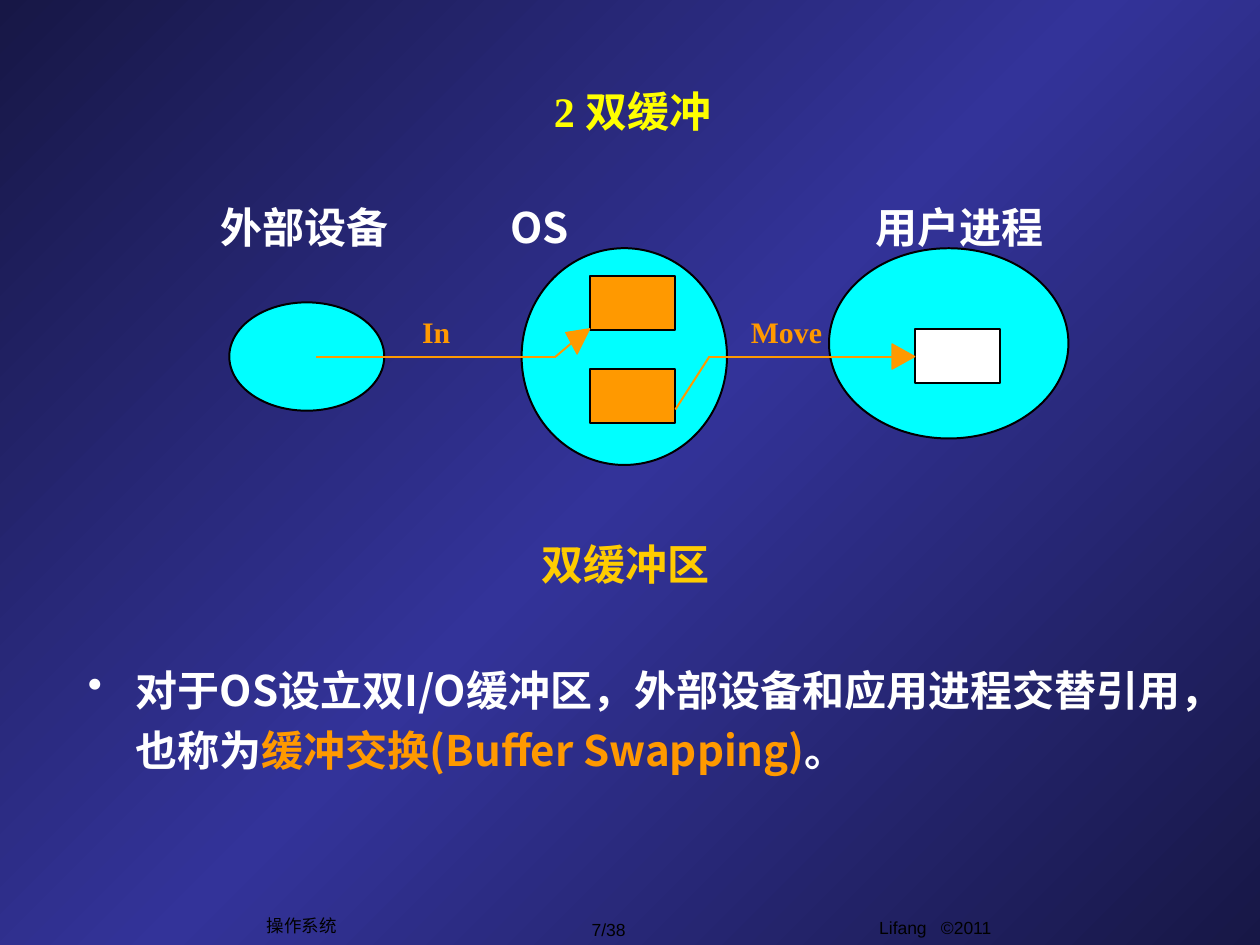
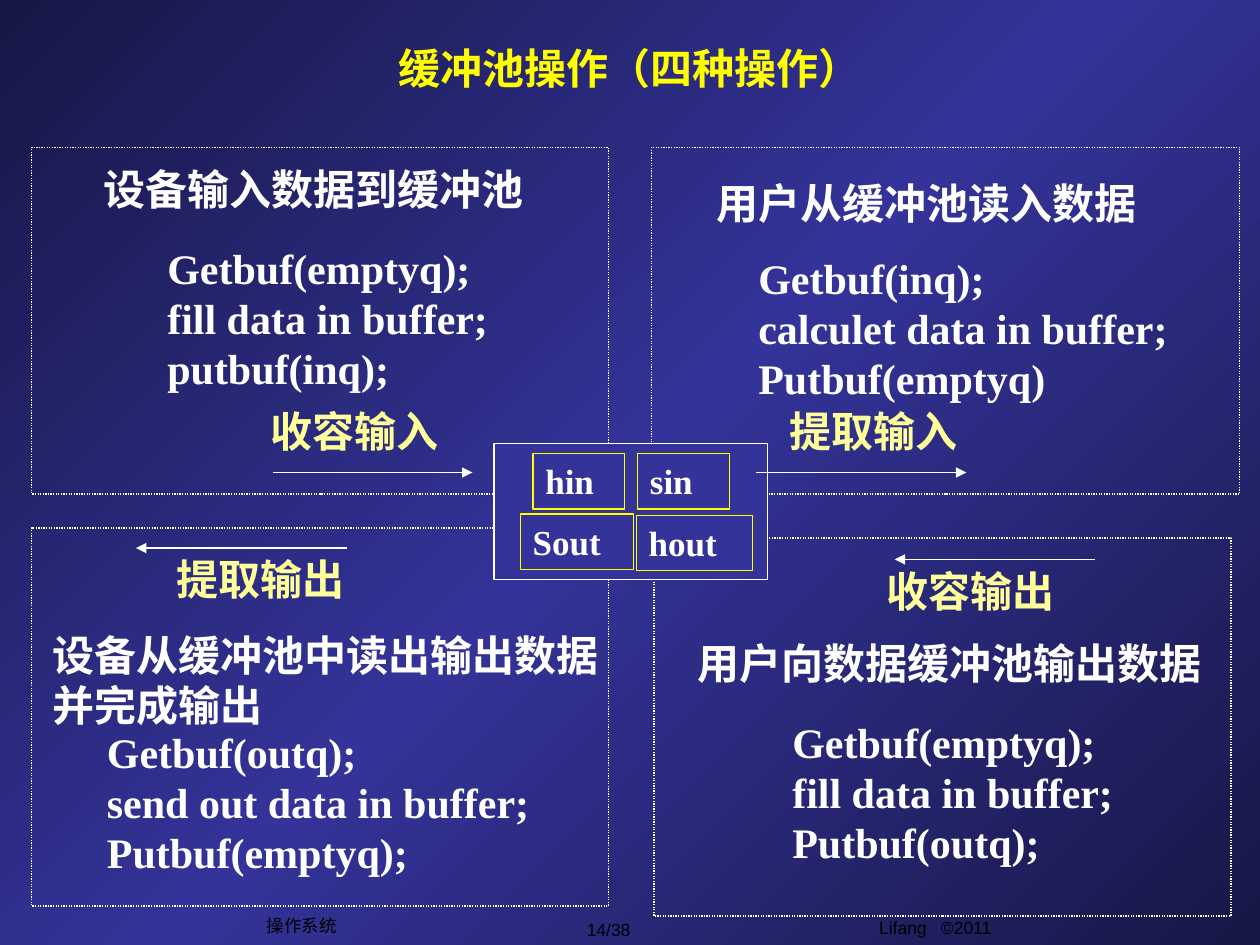
from lxml.etree import SubElement
from pptx import Presentation
from pptx.dml.color import RGBColor
from pptx.enum.dml import MSO_LINE
from pptx.enum.shapes import MSO_CONNECTOR, MSO_SHAPE
from pptx.enum.text import MSO_ANCHOR as ANCHOR, MSO_AUTO_SIZE as AUTO, PP_ALIGN as ALIGN
from pptx.oxml.ns import qn
from pptx.util import Inches, Pt

NAVY, INDIGO = RGBColor(0x17, 0x17, 0x46), RGBColor(0x33, 0x33, 0x99)
WHITE, BLACK = RGBColor(0xFF, 0xFF, 0xFF), RGBColor(0, 0, 0)
YELLOW, PALE = RGBColor(0xFF, 0xFF, 0), RGBColor(0xFF, 0xFF, 0x99)
GOLD, ORANGE = RGBColor(0xFF, 0xCC, 0), RGBColor(0xFF, 0x99, 0)
CYAN = RGBColor(0, 0xFF, 0xFF)
SERIF, SANS, CJK = "Times New Roman", "Arial", "Noto Sans CJK SC"
INSETS = (0.1, 0.05)

# Double buffering: text, left, top, width, format
DIAGRAM_LABELS = [
    ("外部设备", 1.75, 1.6, 1.33, dict(font=CJK)),
    ("OS", 4.05, 1.6, 0.5, dict(font=CJK)),
    ("用户进程", 6.95, 1.6, 1.33, dict(font=CJK)),
    ("In", 3.35, 2.49, 0.22, dict(size=17, color=ORANGE)),
    ("Move", 5.96, 2.49, 0.57, dict(size=17, color=ORANGE)),
    ("双缓冲区", 4.3, 4.28, 1.33, dict(font=CJK, color=GOLD)),
]
ELLIPSES = [(4.14, 1.97, 1.63, 1.72), (1.82, 2.4, 1.23, 0.86), (6.58, 1.97, 1.9, 1.51)]
BUFFER_SIZE = (0.68, 0.43)
BUFFERS = [(4.68, 2.19, ORANGE), (4.68, 2.93, ORANGE), (7.26, 2.61, WHITE)]
FLOWS = [[(2.51, 2.83), (4.41, 2.83), (4.54, 2.72)],
         [(5.36, 3.25), (5.63, 2.83), (7.09, 2.83)]]
ARROWHEADS = [[(4.58, 2.81), (4.68, 2.61), (4.49, 2.64)],
              [(7.08, 2.93), (7.26, 2.83), (7.08, 2.73)]]
SWAPPING = [("对于OS设立双I/O缓冲区，外部设备和应用进程交替引用，也称为", WHITE),
            ("缓冲交换(Buffer Swapping)", ORANGE), ("。", WHITE)]

# Buffer pool: each panel has a frame, a heading, code, a label and an arrow
PANELS = [
    dict(frame=(5.19, 4.27, 4.58, 3),
         heading=("用户向数据缓冲池输出数据", 5.44, 5.01, 4.2),
         code=("Getbuf(emptyq);\nfill data in buffer;\nPutbuf(outq);", 6.19, 5.64, 2.74),
         label=("收容输出", 6.94, 4.44, 1.53), arrow=(8.69, 7.1, 4.44)),
    dict(frame=(0.25, 4.19, 4.58, 3),
         heading=("设备从缓冲池中读出输出数据\n并完成输出", 0.32, 4.95, 4.53),
         code=("Getbuf(outq);\nsend out data in buffer;\nPutbuf(emptyq);", 0.75, 5.72, 3.55),
         label=("提取输出", 1.3, 4.35, 1.53), arrow=(2.75, 1.08, 4.35)),
    dict(frame=(0.25, 1.17, 4.58, 2.75),
         heading=("设备输入数据到缓冲池", 0.72, 1.25, 3.53),
         code=("Getbuf(emptyq);\nfill data in buffer;\nputbuf(inq);", 1.23, 1.88, 2.74),
         label=("收容输入", 2.05, 3.17, 1.53), arrow=(2.17, 3.75, 3.75)),
    dict(frame=(5.17, 1.17, 4.67, 2.75),
         heading=("用户从缓冲池读入数据", 5.59, 1.36, 3.53),
         code=("Getbuf(inq);\ncalculet data in buffer;\nPutbuf(emptyq)", 5.92, 1.96, 3.45),
         label=("提取输入", 6.17, 3.17, 1.53), arrow=(6, 7.67, 3.75)),
]
POOL = (3.92, 3.52, 2.17, 1.08)
POOL_BUFFERS = [("hin", 4.23, 3.6, 0.73), ("sin", 5.06, 3.6, 0.73),
                ("Sout", 4.13, 4.08, 0.9), ("hout", 5.05, 4.09, 0.92)]


def add_run(p, text, size=24, color=WHITE, font=SERIF, bold=True):
    r = p.add_run()
    r.text = text
    for name, value in dict(size=Pt(size), bold=bold, name=font).items():
        setattr(r.font, name, value)
    r.font.color.rgb = color
    SubElement(r._r.get_or_add_rPr(), qn("a:ea"), typeface=CJK)


def set_frame(tf, insets=INSETS, wrap=False, anchor=ANCHOR.TOP):
    side, end = map(Inches, insets)
    values = dict(margin_left=side, margin_right=side, margin_top=end, margin_bottom=end,
                  auto_size=AUTO.NONE, word_wrap=wrap, vertical_anchor=anchor)
    for name, value in values.items():
        setattr(tf, name, value)


def add_text(s, text, x, y, w, h=0.4, align=ALIGN.LEFT, spacing=None, frame=None, **style):
    tf = s.shapes.add_textbox(*map(Inches, (x, y, w, h))).text_frame
    set_frame(tf, **(frame or {}))
    for i, line in enumerate(text.split("\n")):
        p = tf.add_paragraph() if i else tf.paragraphs[0]
        p.alignment = align
        p.line_spacing = spacing
        add_run(p, line, **style)
    return tf


def style_shape(sp, fill=None, line=BLACK, width=1.13):
    sp.shadow.inherit = False
    if fill is None:
        sp.fill.background()
    else:
        sp.fill.solid()
        sp.fill.fore_color.rgb = fill
    sp.line.color.rgb = line
    sp.line.width = Pt(width)


def add_box(s, kind, box, **style):
    sp = s.shapes.add_shape(kind, *map(Inches, box))
    style_shape(sp, **style)
    return sp


def add_line(s, start, end, color, width, arrow=False):
    c = s.shapes.add_connector(MSO_CONNECTOR.STRAIGHT, *map(Inches, (*start, *end)))
    c.line.color.rgb = color
    c.line.width = Pt(width)
    if arrow:
        SubElement(c.line._get_or_add_ln(), qn("a:tailEnd"), type="triangle")
    SubElement(c._element.spPr, qn("a:effectLst"))


def add_slide(prs, title, title_box, page):
    """Add a slide with the shared background, title and footers."""
    s = prs.slides.add_slide(prs.slide_layouts[6])
    fill = s.background.fill
    fill.gradient()
    fill.gradient_angle = 315
    stops = next(s._element.iter(qn("a:gsLst")))
    for stop in list(stops):
        stops.remove(stop)
    for pos, color in ((0, NAVY), (50000, INDIGO), (100000, NAVY)):
        stop = SubElement(stops, qn("a:gs"), pos=str(pos))
        SubElement(stop, qn("a:srgbClr"), val=str(color))

    small = dict(size=10, color=BLACK, font=SANS, bold=False)
    middle = dict(anchor=ANCHOR.MIDDLE)
    tf = add_text(s, "Lifang\t©2011", 6.88, 7.23, 1.3, 0.27, **small)
    tabs = SubElement(tf.paragraphs[0]._p.get_or_add_pPr(), qn("a:tabLst"))
    SubElement(tabs, qn("a:tab"), pos=str(Inches(0.49)), algn="l")
    for text, x, y, w in ((page, 4.32, 7.24, 1.02), ("操作系统", 2.02, 7.21, 0.75)):
        add_text(s, text, x, y, w, 0.27, ALIGN.CENTER, frame=middle, **small)
    add_text(s, title, *title_box, ALIGN.CENTER, frame=dict(wrap=True, **middle), color=YELLOW)
    return s


def add_double_buffer(prs):
    s = add_slide(prs, "2 双缓冲", (0.77, 0.4, 8.5, 0.96), "7/38")
    for text, x, y, w, style in DIAGRAM_LABELS:
        add_text(s, text, x, y, w, spacing=Pt(style.get("size", 24) * 1.19),
                 frame=dict(insets=(0, 0)), **style)
    for box in ELLIPSES:
        add_box(s, MSO_SHAPE.OVAL, box, fill=CYAN)
    for x, y, fill in BUFFERS:
        add_box(s, MSO_SHAPE.RECTANGLE, (x, y, *BUFFER_SIZE), fill=fill)
    for points in FLOWS:
        for start, end in zip(points, points[1:]):
            add_line(s, start, end, ORANGE, 1.13)
    for first, *rest in ARROWHEADS:
        outline = s.shapes.build_freeform(*map(Inches, first))
        outline.add_line_segments([tuple(map(Inches, pt)) for pt in rest], close=True)
        style_shape(outline.convert_to_shape(), ORANGE, ORANGE, 0.75)

    tf = s.shapes.add_textbox(*map(Inches, (0.6, 5.15, 8.87, 1.18))).text_frame
    set_frame(tf, wrap=True)
    p = tf.paragraphs[0]
    p.line_spacing = Pt(34.3)
    pPr = p._p.get_or_add_pPr()
    pPr.set("marL", str(Inches(0.38)))
    pPr.set("indent", str(-Inches(0.38)))
    SubElement(SubElement(pPr, qn("a:buClr")), qn("a:srgbClr"), val=str(WHITE))
    SubElement(pPr, qn("a:buChar"), char="•")
    for text, color in SWAPPING:
        add_run(p, text, color=color, font=CJK)


def add_buffer_pool(prs):
    s = add_slide(prs, "缓冲池操作（四种操作）", (0.75, 0.15, 8.5, 0.77), "14/38")
    for panel in PANELS:
        frame = add_box(s, MSO_SHAPE.RECTANGLE, panel["frame"], line=WHITE, width=0.75)
        frame.line.dash_style = MSO_LINE.ROUND_DOT
        for part, color in (("heading", WHITE), ("code", WHITE), ("label", PALE)):
            text, x, y, w = panel[part]
            h = 0.1 + 0.4 * len(text.split("\n"))
            add_text(s, text, x, y, w, h, spacing=Pt(28.6), color=color)
    add_box(s, MSO_SHAPE.RECTANGLE, POOL, fill=INDIGO, line=WHITE, width=0.75)
    for panel in PANELS:
        start, end, y = panel["arrow"]
        add_line(s, (start, y), (end, y), WHITE, 0.75, arrow=True)
    for text, x, y, w in POOL_BUFFERS:
        sp = add_box(s, MSO_SHAPE.RECTANGLE, (x, y, w, 0.44), line=YELLOW, width=0.75)
        set_frame(sp.text_frame, wrap=True)
        p = sp.text_frame.paragraphs[0]
        p.alignment = ALIGN.LEFT
        add_run(p, text, size=20)


def main():
    prs = Presentation()
    prs.slide_width, prs.slide_height = Inches(10), Inches(7.5)
    add_double_buffer(prs)
    add_buffer_pool(prs)
    prs.save("out.pptx")


if __name__ == "__main__":
    main()
